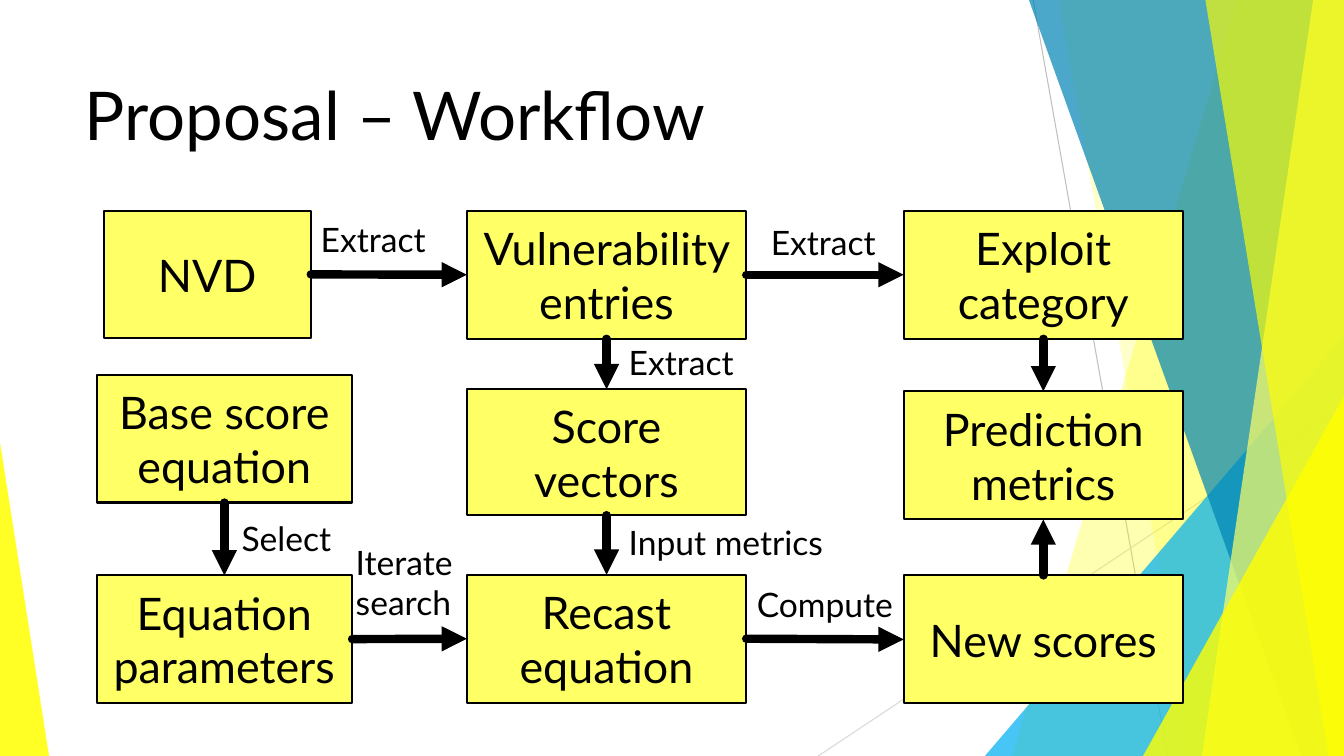
from lxml.etree import SubElement
from pptx import Presentation
from pptx.dml.color import RGBColor
from pptx.enum.shapes import MSO_CONNECTOR, MSO_SHAPE
from pptx.enum.text import MSO_ANCHOR, PP_ALIGN
from pptx.oxml.ns import qn
from pptx.util import Pt

WIDTH, HEIGHT = 960, 540
FONT = "Lato"
COLORS = {
    "ink": "000000", "box": "FFFF66", "yellow": "FFFF00", "sky": "00B0F0",
    "blue": "0084B4", "gray": "BFBFBF", "pale": "D9D9D9",
}
TITLE = "Proposal – Workflow"

# Background: lines, then panels reaching the right edge and corner triangles
THIN_LINES = [((738, 0), (834, 540), "gray"), ((960, 290), (584.5, 540), "pale")]
DECOR = [  # panel: x at top, x at bottom; triangle: left, top, width, apex
    ("panel", (884, 723), "yellow", 30),
    ("panel", (756, 852), "yellow", 20),
    ("triangle", (703.5, 240, 256.5, 1), "sky", 72),
    ("panel", (735, 929.5), "blue", 70),
    ("panel", (938, 858.5), "box", 70),
    ("panel", (861, 949), "yellow", 65),
    ("triangle", (816.5, 283, 143.5, 1), "yellow", 80),
    ("triangle", (0, 316, 35, 0), "yellow", 85),
]

# Column: left, width
COLUMNS = {"nvd": (74, 148), "equation": (69, 182.5),
           "middle": (333.5, 199.5), "right": (645.5, 199.5)}
STEPS = {  # column, top, height
    "NVD": ("nvd", 150.5, 91),
    "Vulnerability entries": ("middle", 150.5, 91.5),
    "Score vectors": ("middle", 278, 90),
    "Exploit category": ("right", 150.5, 91.5),
    "Base score equation": ("equation", 268, 91),
    "Equation parameters": ("equation", 411, 91),
    "Recast equation": ("middle", 410.5, 91.5),
    "New scores": ("right", 411, 91.5),
    "Prediction metrics": ("right", 279.5, 91.5),
}
TOP, LEFT, BOTTOM, RIGHT = range(4)
ARROWS = [
    ("NVD", RIGHT, "Vulnerability entries", LEFT),
    ("Vulnerability entries", RIGHT, "Exploit category", LEFT),
    ("Vulnerability entries", BOTTOM, "Score vectors", TOP),
    ("Base score equation", BOTTOM, "Equation parameters", TOP),
    ("Equation parameters", RIGHT, "Recast equation", LEFT),
    ("Score vectors", BOTTOM, "Recast equation", TOP),
    ("Recast equation", RIGHT, "New scores", LEFT),
    ("Exploit category", BOTTOM, "Prediction metrics", TOP),
    ("New scores", TOP, "Prediction metrics", BOTTOM),
]
LABELS = [  # text, left, top, width, height
    ("Extract", 222, 152.5, 106, 36),
    ("Extract", 543.5, 155, 106, 36),
    ("Extract", 442, 240.5, 106, 36),
    ("Select", 165.5, 366.5, 140.5, 36),
    ("Iterate search", 247, 383.5, 140.5, 65.5),
    ("Input metrics", 442, 369.5, 164, 36),
    ("Compute", 533.5, 413.5, 164, 36),
]


def color(name):
    return RGBColor.from_string(COLORS[name])


def write(frame, text, size, align=PP_ALIGN.LEFT, anchor=MSO_ANCHOR.TOP):
    frame.word_wrap = True
    frame.vertical_anchor = anchor
    para = frame.paragraphs[0]
    para.text = text
    para.alignment = align
    para.font.name = FONT
    para.font.size = Pt(size)
    para.font.color.rgb = color("ink")


def add_line(page, start, end, tint, weight):
    line = page.shapes.add_connector(
        MSO_CONNECTOR.STRAIGHT, *(Pt(value) for value in (*start, *end)))
    line.line.color.rgb = color(tint)
    line.line.width = Pt(weight)
    SubElement(line.element.spPr, qn("a:effectLst"))
    return line


def add_decor(page, kind, place, tint, opacity):
    if kind == "panel":
        top_x, bottom_x = place
        outline = page.shapes.build_freeform(Pt(top_x), 0)
        outline.add_line_segments([
            (Pt(WIDTH), 0), (Pt(WIDTH), Pt(HEIGHT)), (Pt(bottom_x), Pt(HEIGHT))])
        shape = outline.convert_to_shape()
    else:
        left, top, width, apex = place
        shape = page.shapes.add_shape(
            MSO_SHAPE.ISOSCELES_TRIANGLE, Pt(left), Pt(top), Pt(width), Pt(HEIGHT - top))
        shape.adjustments[0] = apex
    shape.shadow.inherit = False
    shape.line.fill.background()
    shape.fill.solid()
    shape.fill.fore_color.rgb = color(tint)
    tone = shape.element.spPr.find(f"{qn('a:solidFill')}/{qn('a:srgbClr')}")
    SubElement(tone, qn("a:alpha"), val=str(opacity * 1000))


def add_step(page, text, column, top, height):
    left, width = COLUMNS[column]
    box = page.shapes.add_shape(
        MSO_SHAPE.RECTANGLE, Pt(left), Pt(top), Pt(width), Pt(height))
    box.shadow.inherit = False
    box.fill.solid()
    box.fill.fore_color.rgb = color("box")
    box.line.color.rgb = color("ink")
    box.line.width = Pt(1.5)
    write(box.text_frame, text, 32, PP_ALIGN.CENTER, MSO_ANCHOR.MIDDLE)
    return box


def add_arrow(page, source, source_side, target, target_side):
    arrow = add_line(page, (0, 0), (0, 0), "ink", 6)
    arrow.begin_connect(source, source_side)
    arrow.end_connect(target, target_side)
    stroke = arrow.line._get_or_add_ln()
    stroke.set("cap", "rnd")
    SubElement(stroke, qn("a:tailEnd"), type="triangle")


def main():
    deck = Presentation()
    deck.slide_width, deck.slide_height = Pt(WIDTH), Pt(HEIGHT)
    page = deck.slides.add_slide(deck.slide_layouts[5])

    for start, end, tint in THIN_LINES:
        add_line(page, start, end, tint, 0.75)
    for item in DECOR:
        add_decor(page, *item)

    title = page.shapes.title
    title.left, title.top, title.width, title.height = Pt(53.5), Pt(48), Pt(762.5), Pt(66)
    write(title.text_frame, TITLE, 48, anchor=MSO_ANCHOR.MIDDLE)

    boxes = {text: add_step(page, text, *place) for text, place in STEPS.items()}
    for source, source_side, target, target_side in ARROWS:
        add_arrow(page, boxes[source], source_side, boxes[target], target_side)
    for text, *place in LABELS:
        label = page.shapes.add_textbox(*(Pt(value) for value in place))
        write(label.text_frame, text, 24)

    deck.save("out.pptx")


if __name__ == "__main__":
    main()
